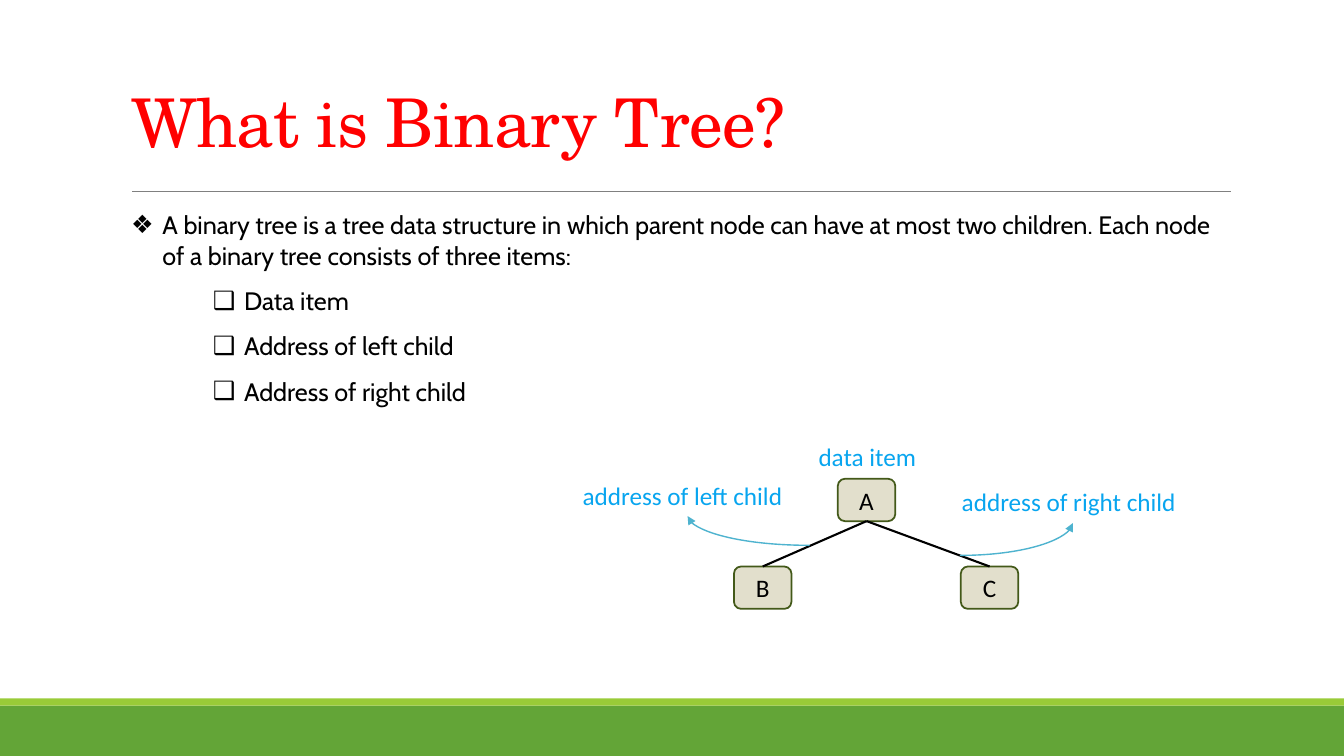
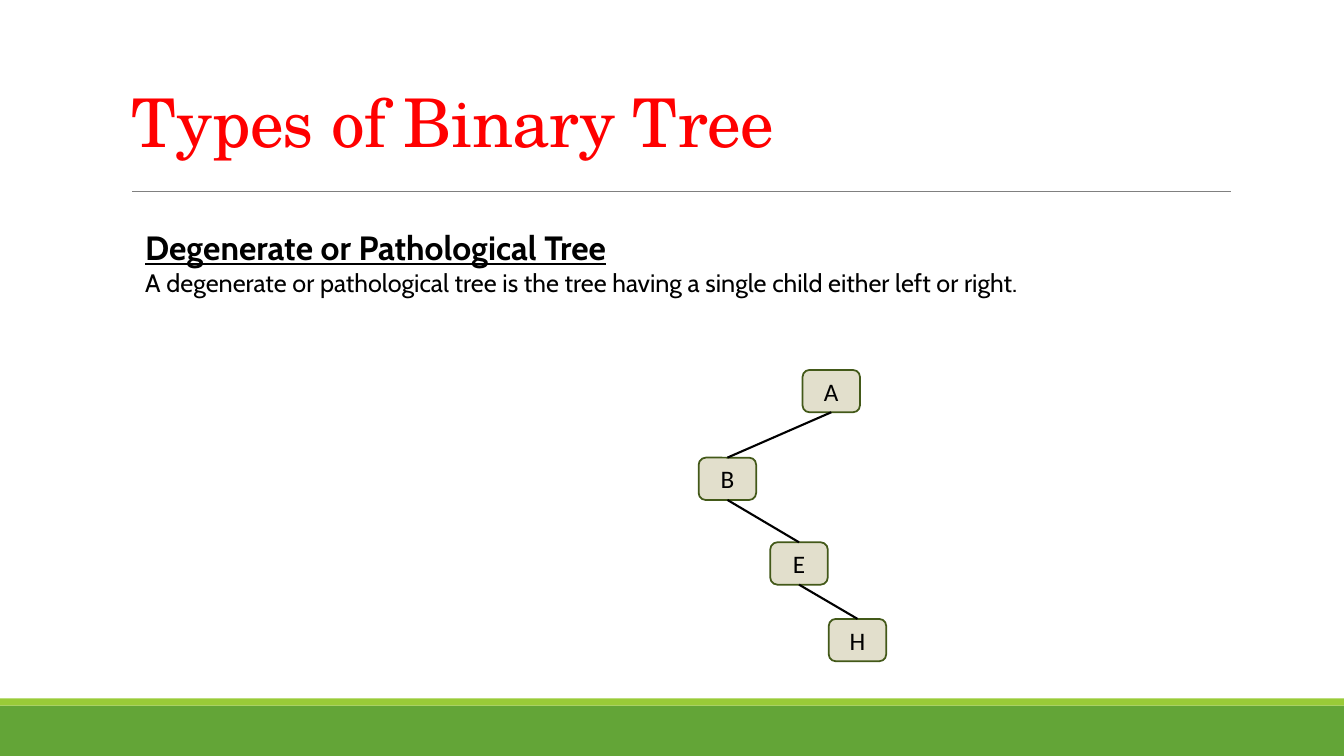
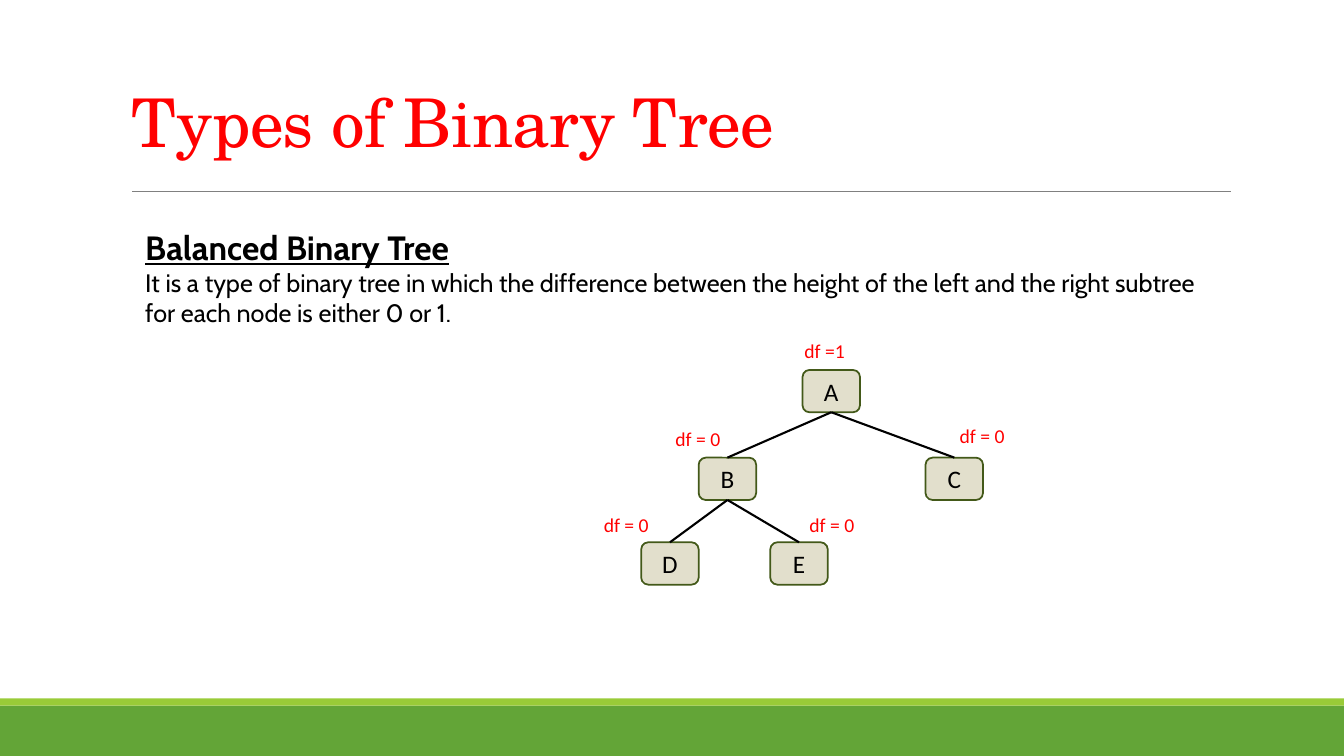
"""Build three slides about binary trees."""
import pptx
import pptx.util
import pptx.dml.color
import pptx.enum.shapes
import pptx.enum.text
import pptx.oxml.ns
import lxml.etree

Inches = pptx.util.Inches
Pt = pptx.util.Pt
RGBColor = pptx.dml.color.RGBColor
SHAPE = pptx.enum.shapes.MSO_SHAPE
CONNECTOR = pptx.enum.shapes.MSO_CONNECTOR
ANCHOR = pptx.enum.text.MSO_ANCHOR
ALIGN = pptx.enum.text.PP_ALIGN
qn = pptx.oxml.ns.qn

GREEN = RGBColor(0x63, 0xA5, 0x37)
LIME = RGBColor(0x99, 0xCB, 0x38)
GRAY = RGBColor(0x80, 0x80, 0x80)
RED = RGBColor(0xFF, 0x00, 0x00)
BLACK = RGBColor(0x00, 0x00, 0x00)
BEIGE = RGBColor(0xE2, 0xDF, 0xCC)
OLIVE = RGBColor(0x43, 0x59, 0x19)
BLUE = RGBColor(0x08, 0xA5, 0xEF)
TEAL = RGBColor(0x4E, 0xB3, 0xCF)

NODE_W, NODE_H = 0.57, 0.42
NODES = {"A": (7.96, 3.67), "B": (6.93, 4.54), "C": (9.18, 4.54),
         "D": (6.36, 5.38), "E": (7.64, 5.38), "H": (8.22, 6.14)}


def style_font(font, name, size, color):
    font.name = name
    font.size = Pt(size)
    font.color.rgb = color


def add_line(s, kind, x1, y1, x2, y2, color, width):
    line = s.shapes.add_connector(kind, Inches(x1), Inches(y1), Inches(x2), Inches(y2))
    line.line.color.rgb = color
    line.line.width = Pt(width)
    lxml.etree.SubElement(line._element.spPr, qn("a:effectLst"))
    return line


SLIDES = [
    {"title": "What is Binary Tree?",
     "body": (1.2, 2.03, 11, 2.01),
     "bullets": [
         ("❖", 0.31, 1.0, "A binary tree is a tree data structure in which parent node can have "
                          "at most two children. Each node of a binary tree consists of three items:"),
         ("❑", 1.12, 1.5, "Data item"),
         ("❑", 1.12, 1.5, "Address of left child"),
         ("❑", 1.12, 1.5, "Address of right child")],
     "offset": (0.35, 1.08), "edges": ["AB", "AC"],
     "labels": [("data item", 8.02, 4.33, 1.2), ("address of left child", 5.68, 4.72, 2.27),
                ("address of right child", 9.44, 4.78, 2.39)],
     "label_style": (18, BLUE),
     "arrows": [(9.52, 5.51, 10.64, 5.19), (8.03, 5.41, 6.82, 5.12)]},
    {"title": "Types of Binary Tree",
     "body": (1.34, 2.2, 10.86, 0.81),
     "heading": "Degenerate or Pathological Tree",
     "text": "A degenerate or pathological tree is the tree having a single child either left or right.",
     "offset": (0, 0), "edges": ["AB", "BE", "EH"]},
    {"title": "Types of Binary Tree",
     "body": (1.34, 2.2, 10.86, 1.11),
     "heading": "Balanced Binary Tree",
     "text": "It is a type of binary tree in which the difference between the height of the left "
             "and the right subtree for each node is either 0 or 1.",
     "offset": (0, 0), "edges": ["AB", "AC", "BD", "BE"],
     "labels": [("df = 0", 5.89, 5.04, 0.7), ("df = 0", 7.93, 5.04, 0.7), ("df = 0", 6.6, 4.19, 0.7),
                ("df = 0", 9.42, 4.16, 0.7), ("df =1", 7.88, 3.31, 0.7)],
     "label_style": (14, RED)},
]

prs = pptx.Presentation()
prs.slide_width = Inches(13.33)
prs.slide_height = Inches(7.5)
layout = prs.slide_layouts[1]
for ph in list(layout.placeholders):
    if ph.placeholder_format.idx >= 10:
        ph._element.getparent().remove(ph._element)
title = layout.placeholders[0]
title.left, title.top, title.width, title.height = Inches(1.2), Inches(0.06), Inches(11), Inches(1.59)
title.text_frame.vertical_anchor = ANCHOR.BOTTOM

slides = [prs.slides.add_slide(layout) for content in SLIDES]

decor = [add_line(slides[0], CONNECTOR.STRAIGHT, 1.31, 1.9, 12.21, 1.9, GRAY, 0.5)]
for top, height, color in [(7, 0.5, GREEN), (6.93, 0.07, LIME)]:
    band = slides[0].shapes.add_shape(SHAPE.RECTANGLE, 0, Inches(top), prs.slide_width, Inches(height))
    band.shadow.inherit = False
    band.fill.solid()
    band.fill.fore_color.rgb = color
    band.line.fill.background()
    decor.append(band)
for shape in decor:
    layout.shapes._spTree.append(shape._element)

for s, content in zip(slides, SLIDES):
    s.shapes.title.text_frame.text = content["title"]
    p = s.shapes.title.text_frame.paragraphs[0]
    p.alignment = ALIGN.LEFT
    p.line_spacing = 0.85
    r = p.runs[0]
    style_font(r.font, "TeX Gyre Schola", 48, RED)
    r.font._element.set("spc", "-50")

    body = s.placeholders[1]
    body.left, body.top, body.width, body.height = [Inches(v) for v in content["body"]]
    tf = body.text_frame
    tf.auto_size = pptx.enum.text.MSO_AUTO_SIZE.SHAPE_TO_FIT_TEXT
    if "bullets" in content:
        tf.text = "\n".join(bullet[3] for bullet in content["bullets"])
        for p, (char, margin, spacing, text) in zip(tf.paragraphs, content["bullets"]):
            p.level = int(margin > 1)
            p.line_spacing = spacing
            p.space_before = Pt(0)
            pPr = p._p.get_or_add_pPr()
            pPr.set("marL", str(Inches(margin)))
            pPr.set("indent", str(Inches(-0.31)))
            lxml.etree.SubElement(pPr, qn("a:buChar")).set("char", char)
            style_font(p.runs[0].font, "Cabin", 18, BLACK)
    else:
        p = tf.paragraphs[0]
        p.text = content["heading"] + "\v" + content["text"]
        p.space_before = Pt(0)
        pPr = p._p.get_or_add_pPr()
        pPr.set("marL", "0")
        pPr.set("indent", "0")
        lxml.etree.SubElement(pPr, qn("a:buNone"))
        heading, text = p.runs
        style_font(heading.font, "Cabin", 24, BLACK)
        heading.font.bold = True
        heading.font.underline = True
        style_font(text.font, "Cabin", 18, BLACK)

    dx, dy = content["offset"]
    nodes = {}
    for name in sorted(set("".join(content["edges"]))):
        x, y = NODES[name]
        node = s.shapes.add_shape(SHAPE.ROUNDED_RECTANGLE, Inches(x + dx), Inches(y + dy),
                                  Inches(NODE_W), Inches(NODE_H))
        node.shadow.inherit = False
        node.fill.solid()
        node.fill.fore_color.rgb = BEIGE
        node.line.color.rgb = OLIVE
        node.line.width = Pt(1.25)
        tf = node.text_frame
        tf.text = name
        tf.vertical_anchor = ANCHOR.MIDDLE
        p = tf.paragraphs[0]
        p.alignment = ALIGN.CENTER
        style_font(p.runs[0].font, "Calibri", 18, BLACK)
        nodes[name] = node
    for parent, child in content["edges"]:
        edge = add_line(s, CONNECTOR.STRAIGHT, 0, 0, 1, 1, BLACK, 1.5)
        edge.begin_connect(nodes[parent], 2)
        edge.end_connect(nodes[child], 0)

    for text, x, y, width in content.get("labels", []):
        size, color = content["label_style"]
        label = s.shapes.add_textbox(Inches(x), Inches(y), Inches(width), Inches(size / 45))
        tf = label.text_frame
        tf.word_wrap = True
        tf.text = text
        style_font(tf.paragraphs[0].runs[0].font, "Calibri", size, color)

    for ends in content.get("arrows", []):
        arrow = add_line(s, CONNECTOR.CURVE, *ends, TEAL, 1)
        arrow._element.spPr.find(qn("a:prstGeom")).set("prst", "curvedConnector2")
        lxml.etree.SubElement(arrow.line._get_or_add_ln(), qn("a:tailEnd")).set("type", "triangle")

prs.save("out.pptx")
